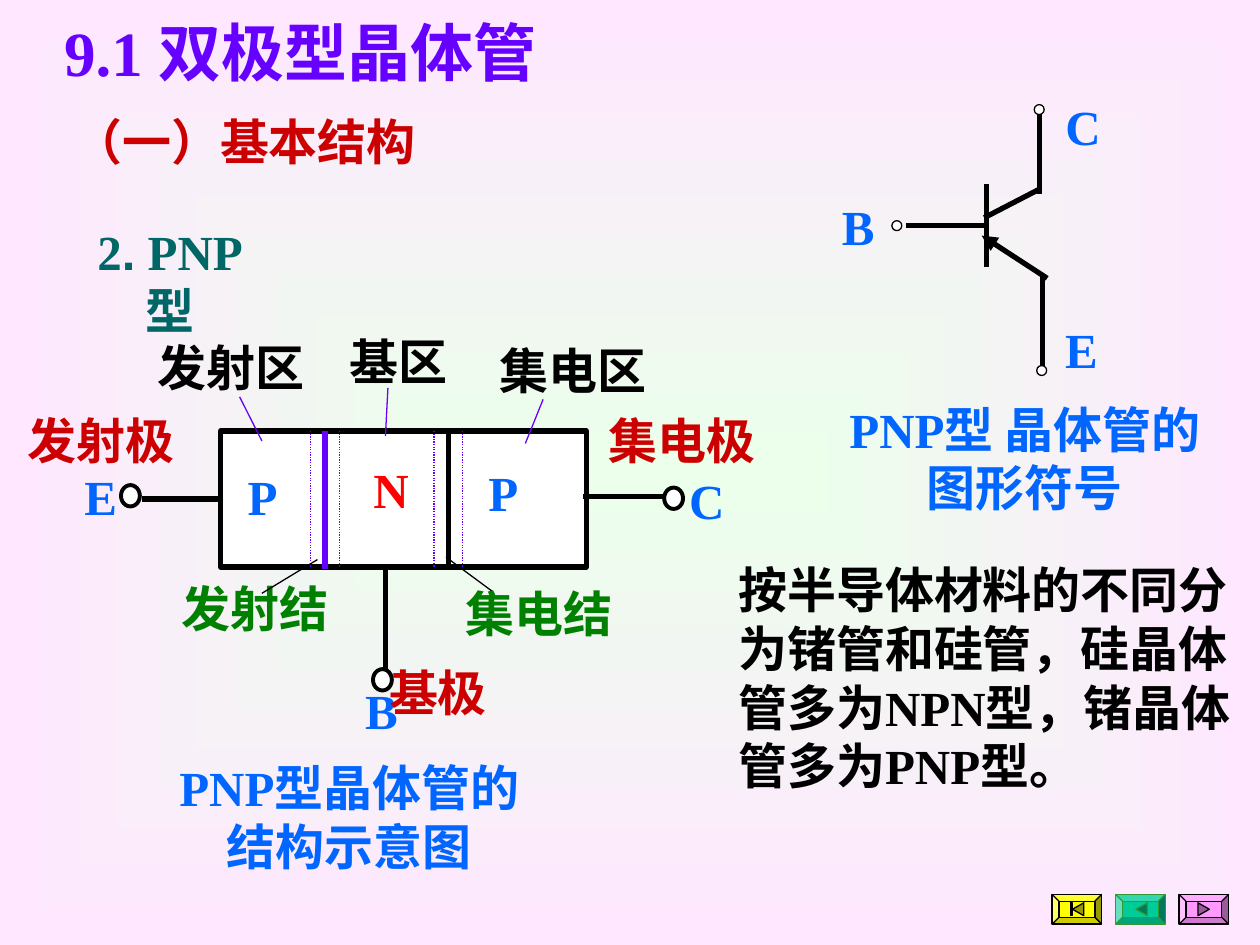
from lxml.etree import SubElement
from pptx import Presentation
from pptx.dml.color import RGBColor
from pptx.enum.dml import MSO_LINE_DASH_STYLE as Dash
from pptx.enum.shapes import MSO_CONNECTOR as Connector, MSO_SHAPE as Preset
from pptx.enum.text import MSO_ANCHOR as Anchor, MSO_AUTO_SIZE as AutoSize, PP_ALIGN as Align
from pptx.oxml.ns import qn
from pptx.util import Cm, Pt

COLORS = {
    "center": "EBFFEB", "edge": "FFE7FF", "black": "000000", "white": "FFFFFF",
    "purple": "6600FF", "blue": "0066FF", "red": "CC0000", "bright red": "FF0000",
    "green": "008000", "teal": "006066".replace("60", "66"),
    "yellow": "FFFF00", "dark yellow": "999900", "mint": "00CC99",
    "dark mint": "007A5C", "mint line": "339933", "pink": "FF99FF", "dark pink": "995C99",
}
COLORS["teal"] = "006666"
FONT = "Times New Roman"


def rgb(name):
    return RGBColor.from_string(COLORS[name])


def paint_background(page):
    """Fill the page with a gradient that spreads from its middle."""
    fill = page.background.fill
    fill.gradient()
    for stop, name in zip(fill.gradient_stops, ("center", "edge")):
        stop.color.rgb = rgb(name)
    gradient = page.element.find(".//" + qn("a:gradFill"))
    gradient.remove(gradient.find(qn("a:lin")))
    spread = SubElement(gradient, qn("a:path"), path="rect")
    SubElement(spread, qn("a:fillToRect"), l="50000", t="50000", r="50000", b="50000")


def place(box, left, top, width, height):
    box.left, box.top, box.width, box.height = Cm(left), Cm(top), Cm(width), Cm(height)


def format_text(box, color, size=28, align=Align.CENTER, wrap=True):
    frame = box.text_frame
    frame.auto_size = AutoSize.NONE
    frame.word_wrap = wrap
    frame.vertical_anchor = Anchor.TOP
    for paragraph in frame.paragraphs:
        paragraph.alignment = align
        paragraph.space_before = Pt(0)
        for span in paragraph.runs:
            span.font.name, span.font.size, span.font.bold = FONT, Pt(size), True
            span.font.color.rgb = rgb(color)


def add_label(page, text, color, left, top, width, height=1.45):
    box = page.shapes.add_textbox(Cm(left), Cm(top), Cm(width), Cm(height))
    box.text_frame.text = text
    format_text(box, color)
    return box


def add_line(page, start, end, color="black", weight=3, dash=None, arrow=False):
    """Draw a line; an arrow has its head at the start."""
    line = page.shapes.add_connector(Connector.STRAIGHT, *map(Cm, start + end))
    line.line.color.rgb = rgb(color)
    line.line.width = Pt(weight)
    if dash:
        line.line.dash_style = dash
    properties = line.element.spPr
    if arrow:
        SubElement(properties.find(qn("a:ln")), qn("a:headEnd"), type="triangle")
    SubElement(properties, qn("a:effectLst"))


def paint(shape, fill, line, weight):
    shape.shadow.inherit = False
    shape.fill.solid()
    shape.fill.fore_color.rgb = rgb(fill)
    shape.line.color.rgb = rgb(line)
    shape.line.width = Pt(weight)


def add_shape(page, preset, left, top, width, height, fill="white", line="black", weight=0.75):
    shape = page.shapes.add_shape(preset, Cm(left), Cm(top), Cm(width), Cm(height))
    paint(shape, fill, line, weight)
    return shape


def add_button(page, left, fill, dark, line, icons):
    top = 18.03
    bevel = add_shape(page, Preset.BEVEL, left, top, 1, 0.6, fill, line)
    bevel.adjustments[0] = 0.23
    for icon in icons:
        points = [(Cm(left + x), Cm(top + y)) for x, y in icon]
        builder = page.shapes.build_freeform(*points[0])
        builder.add_line_segments(points[1:], close=True)
        paint(builder.convert_to_shape(), dark, line, 0.75)


def add_headings(page):
    title = page.shapes.title
    place(title, 1.04, 0.15, 12, 1.78)
    title.text_frame.text = "9.1 双极型晶体管"
    format_text(title, "purple", 36, Align.LEFT, wrap=False)
    add_label(page, "（一）基本结构", "red", 1.22, 2.13, 7.42)
    box = add_label(page, "2", "teal", 1.27, 4.34, 4.32, 2.6)
    for text in (".", " PNP型"):
        box.text_frame.paragraphs[0].add_run().text = text
    format_text(box, "teal")
    box.text_frame.paragraphs[0].runs[1].font.name = "Arial"


def add_remark(page):
    body = page.placeholders[1]
    place(body, 14.63, 11.15, 10.75, 6.2)
    body.text_frame.text = "\n".join((
        "按半导体材料的不同分", "为锗管和硅管，硅晶体", "管多为NPN型，锗晶体", "管多为PNP型。"))
    for paragraph in body.text_frame.paragraphs:
        properties = paragraph._p.get_or_add_pPr()
        properties.set("marL", "0")
        properties.set("indent", "0")
        SubElement(properties, qn("a:buNone"))
    format_text(body, "black", align=Align.LEFT, wrap=False)


def add_structure(page):
    """Draw the three layers with their junctions, leads and names."""
    top = 8.69
    add_shape(page, Preset.RECTANGLE, 4.45, top, 7.37, 2.74, weight=3)
    for x, color in ((6.55, "purple"), (9.04, "black")):
        add_line(page, (x, top), (x, 11.48), color)
        for edge in (x - 0.29, x + 0.29):
            add_line(page, (edge, top), (edge, 11.43), "purple", 0.75, Dash.ROUND_DOT)
    for text, color, left, y in (
            ("P", "blue", 4.29, 9.27), ("N", "bright red", 6.88, 9.14), ("P", "blue", 9.14, 9.19)):
        add_label(page, text, color, left, y, 2.01)
    for start, end in (
            ((7.77, 11.38), (7.77, 13.54)),
            ((11.76, 10.01), (13.49, 10.01)),
            ((2.87, 10.06), (4.39, 10.06))):
        add_line(page, start, end)
    for left, y in ((13.39, 9.83), (7.52, 13.49), (2.44, 9.78)):
        add_shape(page, Preset.OVAL, left, y, 0.38, 0.43, weight=2.25)
    for text, left, y in (("C", 13.49, 9.37), ("B", 6.93, 13.59), ("E", 1.27, 9.27)):
        add_label(page, text, "blue", left, y, 1.52)
    for text, left, y, width in (
            ("集电极", 11.48, 8.15, 4.55), ("基极", 7.19, 13.23, 3.28), ("发射极", 0.15, 8.15, 3.76)):
        add_label(page, text, "red", left, y, width)
    for text, color, left, y, width, line_color, start, end in (
            ("发射结", "green", 2.87, 11.53, 4.55, "black", (5.28, 11.96), (6.4, 11.28)),
            ("集电结", "green", 8.59, 11.63, 4.55, "black", (9.91, 11.91), (8.99, 11.23)),
            ("发射区", "black", 2.39, 6.68, 4.55, "purple", (4.83, 8), (5.28, 8.89)),
            ("集电区", "black", 9.27, 6.73, 4.55, "purple", (10.95, 8.05), (10.59, 8.94)),
            ("基区", "black", 6.4, 6.55, 3.28, "purple", (7.82, 7.82), (7.77, 8.79))):
        add_label(page, text, color, left, y, width)
        add_line(page, start, end, line_color, 0.75)
    add_label(page, "PNP型晶体管的结构示意图", "blue", 3.18, 15.14, 7.72, 2.64)


def add_symbol(page):
    """Draw the circuit symbol of the transistor."""
    for start, end in (
            ((19.89, 3.71), (19.89, 5.38)),
            ((19.84, 4.39), (20.96, 3.81)),
            ((20.96, 2.11), (20.96, 3.91)),
            ((21.01, 5.56), (21.01, 7.37)),
            ((18.26, 4.55), (19.89, 4.55))):
        add_line(page, start, end)
    add_line(page, (19.79, 4.75), (21.11, 5.61), arrow=True)
    for left, top in ((17.98, 4.45), (20.9, 7.37), (20.85, 2.11)):
        add_shape(page, Preset.OVAL, left, top, 0.2, 0.2)
    for text, left, top in (("C", 21.23, 1.83), ("E", 21.2, 6.32), ("B", 16.7, 3.84)):
        add_label(page, text, "blue", left, top, 1.2)
    add_label(page, "PNP型 晶体管的图形符号", "blue", 16.66, 7.92, 8, 2.64)


def add_buttons(page):
    back = ((0.41, 0.3), (0.64, 0.17), (0.64, 0.43))
    forward = ((0.38, 0.17), (0.61, 0.3), (0.38, 0.43))
    bar = ((0.37, 0.17), (0.4, 0.17), (0.4, 0.43), (0.37, 0.43))
    for column, (fill, dark, line, icons) in enumerate((
            ("yellow", "dark yellow", "black", (back, bar)),
            ("mint", "dark mint", "mint line", (back,)),
            ("pink", "dark pink", "black", (forward,)))):
        add_button(page, 21.21 + 1.28 * column, fill, dark, line, icons)


def main():
    deck = Presentation()
    deck.slide_width, deck.slide_height = Cm(25.4), Cm(19.05)
    page = deck.slides.add_slide(deck.slide_layouts[1])
    paint_background(page)
    add_headings(page)
    add_structure(page)
    add_symbol(page)
    add_remark(page)
    add_buttons(page)
    deck.save("out.pptx")


if __name__ == "__main__":
    main()
